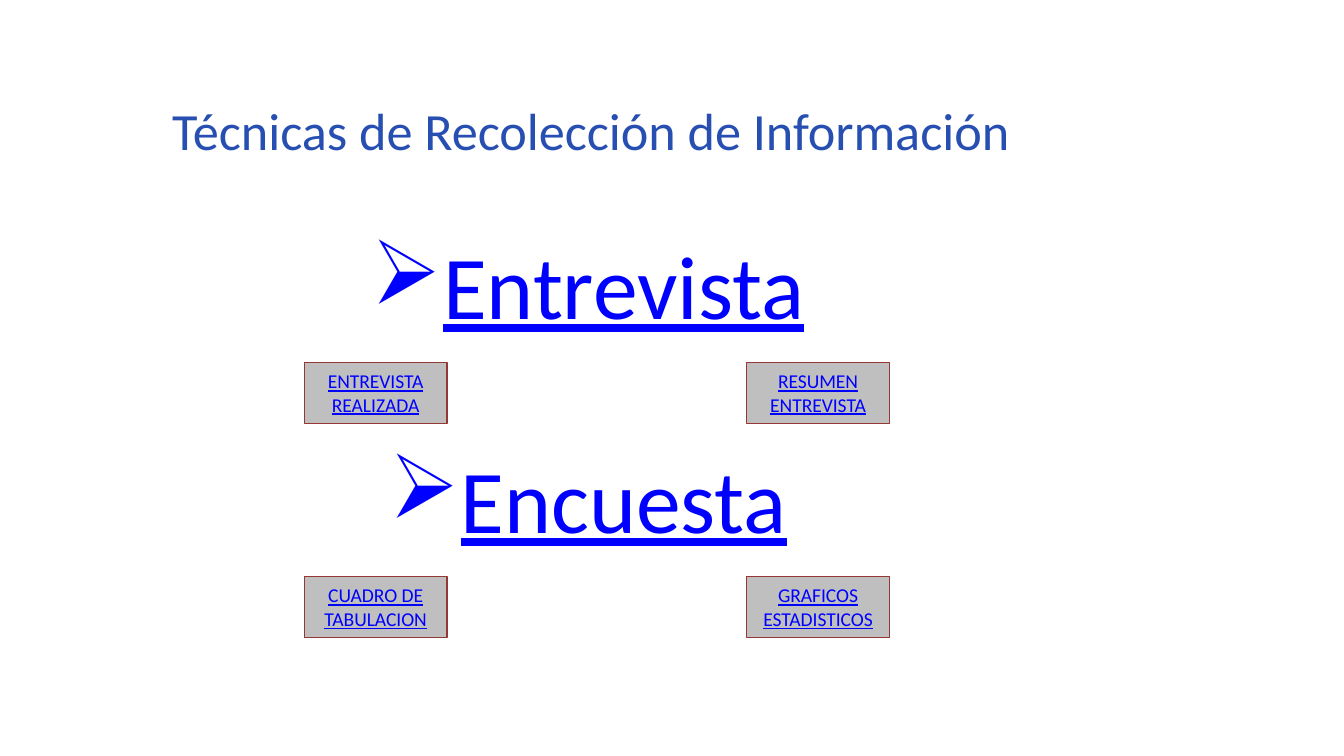
from lxml import etree
from pptx import Presentation
from pptx.dml.color import RGBColor
from pptx.enum.shapes import MSO_SHAPE
from pptx.enum.text import MSO_ANCHOR, MSO_AUTO_SIZE, PP_ALIGN
from pptx.oxml.ns import qn
from pptx.util import Pt

RECTANGLE = MSO_SHAPE.RECTANGLE
TOP = MSO_ANCHOR.TOP
GROW = MSO_AUTO_SIZE.SHAPE_TO_FIT_TEXT
LEFT, CENTER = PP_ALIGN.LEFT, PP_ALIGN.CENTER

TITLE_BLUE = RGBColor(0x27, 0x4F, 0xB2)
LINK_BLUE = RGBColor(0x00, 0x00, 0xFF)
BUTTON_GRAY = RGBColor(0xBF, 0xBF, 0xBF)
BORDER_RED = RGBColor(0x95, 0x37, 0x35)


class SlideBuilder:
    font_name = "Calibri"

    def __init__(self, page):
        self.page = page

    def place(self, box, left, top, width, height):
        bounds = {"left": left, "top": top, "width": width, "height": height}
        for name, value in bounds.items():
            setattr(box, name, Pt(value))

    def fill_text(self, box, lines, size, color, align, underline=False, wrap=True):
        frame = box.text_frame
        frame_format = {"word_wrap": wrap, "auto_size": GROW, "vertical_anchor": TOP}
        for name, value in frame_format.items():
            setattr(frame, name, value)
        frame.text = "\n".join(lines)
        span_format = {"name": self.font_name, "size": Pt(size), "underline": underline}
        for para in frame.paragraphs:
            para.alignment = align
            for span in para.runs:
                for name, value in span_format.items():
                    setattr(span.font, name, value)
                span.font.color.rgb = color

    def title(self, text, bounds):
        box = self.page.shapes.title
        self.place(box, *bounds)
        self.fill_text(box, [text], 28, TITLE_BLUE, LEFT, wrap=False)

    def bullets(self, lines, bounds, gap):
        box = self.page.shapes.add_textbox(*map(Pt, bounds))
        self.fill_text(box, lines, 48, LINK_BLUE, CENTER, underline=True)
        for para in box.text_frame.paragraphs:
            properties = para._p.get_or_add_pPr()
            properties.set("marL", str(Pt(22.5)))
            properties.set("indent", str(Pt(-22.5)))
            etree.SubElement(properties, qn("a:buChar")).set("char", "➢")
        for para in box.text_frame.paragraphs[1:]:
            para.space_before = Pt(gap)

    def button(self, lines, bounds):
        box = self.page.shapes.add_shape(RECTANGLE, *map(Pt, bounds))
        box.shadow.inherit = False
        box.fill.solid()
        box.fill.fore_color.rgb = BUTTON_GRAY
        box.line.color.rgb = BORDER_RED
        box.line.width = Pt(0.75)
        self.fill_text(box, lines, 10.5, LINK_BLUE, CENTER, underline=True)


def main():
    deck = Presentation()
    deck.slide_width, deck.slide_height = Pt(720), Pt(405)
    builder = SlideBuilder(deck.slides.add_slide(deck.slide_layouts[5]))

    builder.title("Técnicas de Recolección de Información", (85, 49, 468, 41))
    builder.bullets(["Entrevista", "Encuesta"], (18, 119.5, 594, 181.5), 57)

    button_rows = [
        (194.3, [["ENTREVISTA REALIZADA"], ["RESUMEN", "ENTREVISTA"]]),
        (309, [["CUADRO DE TABULACION"], ["GRAFICOS ESTADISTICOS"]]),
    ]
    for top, labels in button_rows:
        for left, lines in zip((163, 400), labels):
            builder.button(lines, (left, top, 76.5, 32.7))

    deck.save("out.pptx")


if __name__ == "__main__":
    main()
